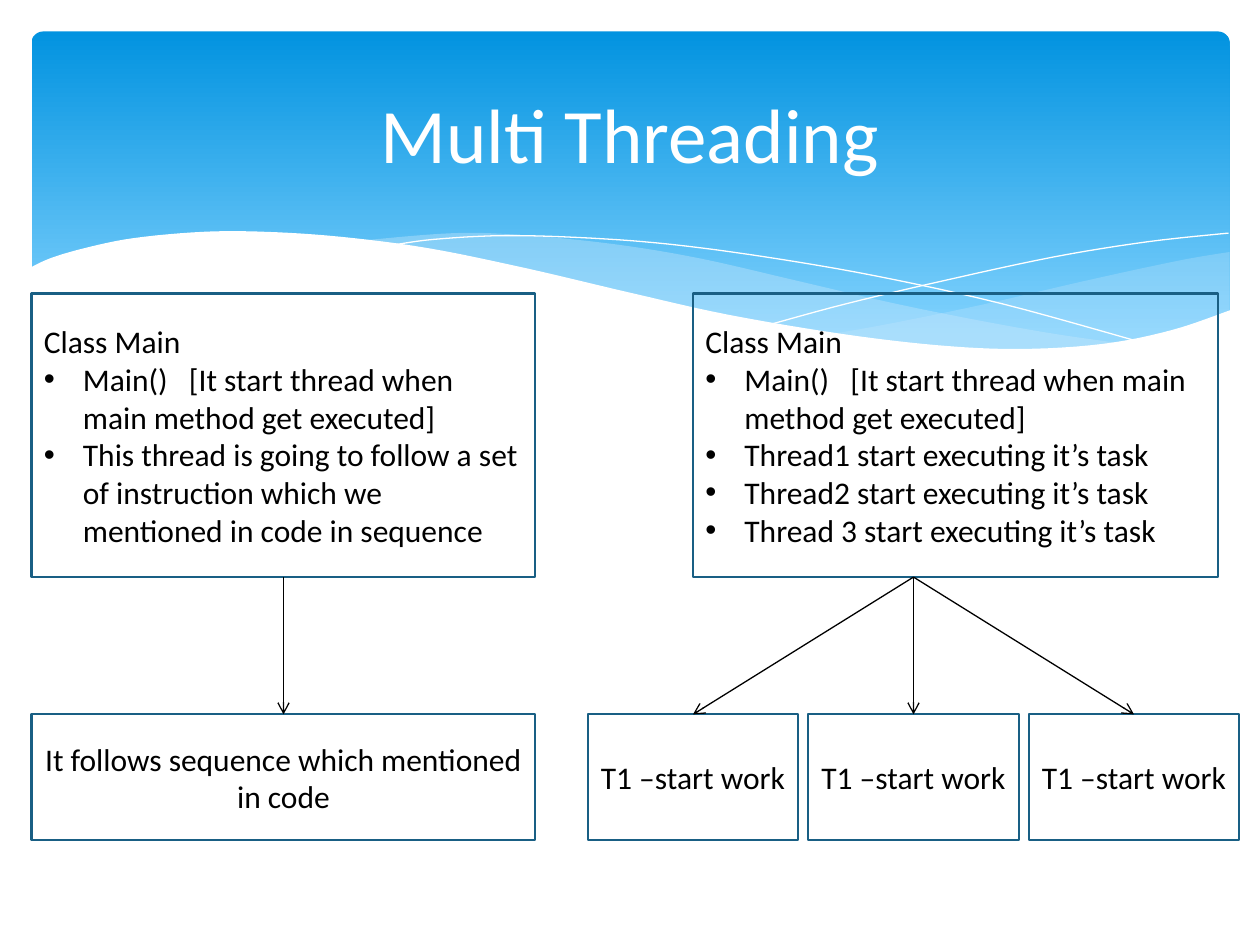
from lxml import etree
from pptx import Presentation
from pptx import util as u
from pptx.dml.color import RGBColor
from pptx.enum import shapes, text
from pptx.oxml import ns

WHITE = RGBColor(0xFF, 0xFF, 0xFF)
BLACK = RGBColor(0x00, 0x00, 0x00)
BORDER = RGBColor(0x19, 0x5F, 0x84)
SKY_TOP = RGBColor(0x02, 0x93, 0xE0)
SKY_BOTTOM = RGBColor(0x83, 0xD3, 0xFE)
MIST = RGBColor(0xC6, 0xE7, 0xFC)


def smooth(points, steps=6):
    padded = [points[0], *points, points[-1]]
    curve = [points[0]]
    for a, b, c, d in zip(padded, padded[1:], padded[2:], padded[3:]):
        for step in range(1, steps + 1):
            t = step / steps
            curve.append(tuple(
                (2 * q + (r - p) * t + (2 * p - 5 * q + 4 * r - s) * t ** 2
                 + (3 * q - p - 3 * r + s) * t ** 3) / 2
                for p, q, r, s in zip(a, b, c, d)))
    return curve


class SlideBuilder:
    font = "Calibri"
    body_size = 18
    bullet_indent = 0.31

    def __init__(self, slide):
        self.slide = slide

    def set_text(self, shape, lines, size=body_size, color=BLACK, align=text.PP_ALIGN.CENTER):
        frame = shape.text_frame
        frame.word_wrap = True
        frame.vertical_anchor = text.MSO_ANCHOR.MIDDLE
        frame.text = "\n".join(lines)
        for paragraph in frame.paragraphs:
            paragraph.alignment = align
            for run in paragraph.runs:
                run.font.name = self.font
                run.font.size = u.Pt(size)
                run.font.color.rgb = color
        return frame

    def title(self, words, left, top, width, height):
        shape = self.slide.shapes.add_textbox(*map(u.Inches, (left, top, width, height)))
        self.set_text(shape, [words], 44, WHITE)

    def shape(self, kind, left, top, width, height):
        shape = self.slide.shapes.add_shape(kind, *map(u.Inches, (left, top, width, height)))
        shape.shadow.inherit = False
        return shape

    def banner(self, left, top, width, height):
        shape = self.shape(shapes.MSO_SHAPE.ROUNDED_RECTANGLE, left, top, width, height)
        shape.adjustments[0] = 0.034
        shape.line.fill.background()
        shape.fill.gradient()
        shape.fill.gradient_angle = 270
        stops = zip(shape.fill.gradient_stops, (0, 0.9), (SKY_TOP, SKY_BOTTOM))
        for stop, position, color in stops:
            stop.position = position
            stop.color.rgb = color

    def freeform(self, edges, closed):
        points = [(u.Inches(x), u.Inches(y)) for edge in edges for x, y in smooth(edge)]
        builder = self.slide.shapes.build_freeform(*points[0])
        builder.add_line_segments(points[1:], close=closed)
        shape = builder.convert_to_shape()
        shape.shadow.inherit = False
        return shape

    def wave(self, edges, color, opacity=100):
        shape = self.freeform(edges, True)
        shape.line.fill.background()
        shape.fill.solid()
        shape.fill.fore_color.rgb = color
        if opacity < 100:
            tint = shape._element.spPr.find(ns.qn("a:solidFill")).find(ns.qn("a:srgbClr"))
            etree.SubElement(tint, ns.qn("a:alpha"), val=str(opacity * 1000))

    def thread_line(self, points):
        shape = self.freeform([points], False)
        shape.fill.background()
        shape.line.color.rgb = WHITE
        shape.line.width = u.Pt(0)

    def box(self, left, top, width, height, lines, align=text.PP_ALIGN.CENTER):
        shape = self.shape(shapes.MSO_SHAPE.RECTANGLE, left, top, width, height)
        shape.fill.background()
        shape.line.color.rgb = BORDER
        shape.line.width = u.Pt(1.25)
        frame = self.set_text(shape, lines, align=align)
        indent = u.Inches(self.bullet_indent)
        for paragraph in frame.paragraphs[1:]:
            properties = paragraph._p.get_or_add_pPr()
            properties.set("marL", str(indent))
            properties.set("indent", str(-indent))
            etree.SubElement(properties, ns.qn("a:buFont"), typeface="Arial")
            etree.SubElement(properties, ns.qn("a:buChar"), char="\u2022")

    def arrow(self, start, end):
        connector = self.slide.shapes.add_connector(
            shapes.MSO_CONNECTOR.STRAIGHT, *map(u.Inches, (*start, *end)))
        connector.line.color.rgb = BLACK
        connector.line.width = u.Pt(0.75)
        properties = connector._element.spPr
        line = properties.find(ns.qn("a:ln"))
        etree.SubElement(line, ns.qn("a:tailEnd"), type="arrow")
        etree.SubElement(properties, ns.qn("a:effectLst"))


presentation = Presentation()
presentation.slide_width = u.Inches(10)
presentation.slide_height = u.Inches(7.5)
builder = SlideBuilder(presentation.slides.add_slide(presentation.slide_layouts[6]))

builder.banner(0.25, 0.25, 9.51, 2.7)
builder.wave([
    [(9.76, 2), (9.35, 2.07), (8.61, 2.23), (7.79, 2.42), (7.06, 2.57), (6.61, 2.65)],
    [(6.61, 2.65), (7.05, 2.71), (7.57, 2.76), (8.14, 2.78), (8.72, 2.74), (9.28, 2.63),
     (9.76, 2.47)],
], MIST, 29)
builder.wave([
    [(8.93, 2.73), (8.37, 2.65), (7.75, 2.54), (7.06, 2.4), (6.29, 2.22), (5.55, 2.05),
     (4.89, 1.94), (4.2, 1.87), (3.61, 1.85), (2.86, 1.91)],
    [(2.86, 1.91), (3.42, 1.99), (4.04, 2.11), (4.91, 2.32), (5.66, 2.48), (6.34, 2.61),
     (6.95, 2.7), (7.61, 2.77), (8.18, 2.78), (8.93, 2.73)],
], MIST, 40)
builder.thread_line([
    (3.09, 1.95), (3.44, 1.9), (4.01, 1.87), (4.69, 1.89), (5.33, 1.94), (6.08, 2.04),
    (6.95, 2.19), (7.95, 2.41), (9.07, 2.72)])
builder.thread_line([
    (6.13, 2.57), (6.72, 2.41), (7.48, 2.23), (8.36, 2.04), (9.1, 1.92), (9.75, 1.85)])
builder.wave([
    [(9.77, 2.46), (9.3, 2.62), (8.75, 2.73), (8.09, 2.77), (7.44, 2.74), (6.68, 2.65),
     (5.79, 2.5), (5.03, 2.33), (4.18, 2.13), (3.4, 1.97), (2.71, 1.88), (2.11, 1.84),
     (1.61, 1.84), (1.06, 1.89), (0.67, 1.97), (0.4, 2.05), (0.23, 2.13)],
    [(0.23, 3.29), (9.77, 3.29)],
], WHITE)
builder.title("Multi Threading", 0.5, 0.37, 9, 1.37)

class_top, class_height, work_top, work_height = 2.33, 2.25, 5.67, 1
class_bottom = class_top + class_height
main_lines = ["Class Main", "Main()   [It start thread when main method get executed]"]
sequence_lines = ["This thread is going to follow a set of instruction which we "
                  "mentioned in code in sequence"]
thread_lines = [f"Thread{number} start executing it\u2019s task" for number in ("1", "2", " 3")]
for left, width, lines in ((0.25, 4, sequence_lines), (5.5, 4.17, thread_lines)):
    builder.box(left, class_top, width, class_height, main_lines + lines, text.PP_ALIGN.LEFT)

builder.box(0.25, work_top, 4, work_height, ["It follows sequence which mentioned in code"])
builder.arrow((2.25, class_bottom), (2.25, work_top))

fork_x, work_step, work_width = 7.25, 1.75, 1.67
for column in (-1, 0, 1):
    center = fork_x + column * work_step
    builder.box(center - work_width / 2, work_top, work_width, work_height,
                ["T1 \u2013start work"])
    builder.arrow((fork_x, class_bottom), (center, work_top))

presentation.save("out.pptx")
